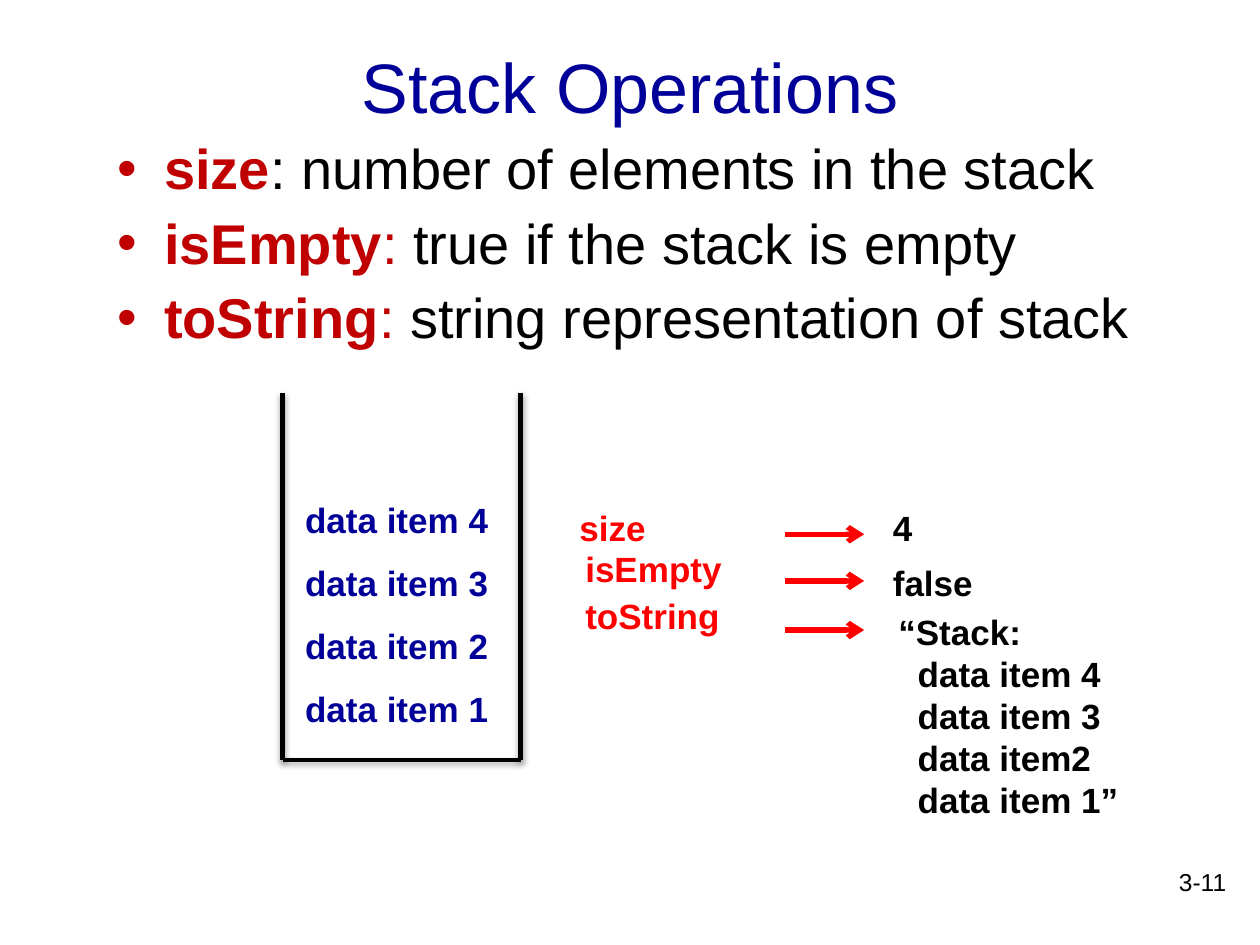
from lxml import etree
from pptx import Presentation
from pptx.dml.color import RGBColor
from pptx.enum.shapes import MSO_CONNECTOR
from pptx.enum.text import MSO_ANCHOR, PP_ALIGN
from pptx.oxml import parse_xml
from pptx.oxml.ns import nsdecls, qn
from pptx.util import Cm, Pt

STRAIGHT = MSO_CONNECTOR.STRAIGHT
TOP, MIDDLE = MSO_ANCHOR.TOP, MSO_ANCHOR.MIDDLE
LEFT, CENTER, RIGHT = PP_ALIGN.LEFT, PP_ALIGN.CENTER, PP_ALIGN.RIGHT

NAVY = RGBColor(0x00, 0x00, 0x99)
CRIMSON = RGBColor(0xC0, 0x00, 0x00)
RED = RGBColor(0xFF, 0x00, 0x00)
BLACK = RGBColor(0x00, 0x00, 0x00)


def add_text(paragraphs, left, top, width, height, size=20, color=BLACK, bold=True,
             align=LEFT, anchor=TOP, wrap=False, before=0, after=0, spacing=1.0):
    """Add a text box; a paragraph is a string or a list of (text, color, bold) spans."""
    box = page.shapes.add_textbox(Cm(left), Cm(top), Cm(width), Cm(height))
    frame = box.text_frame
    frame.word_wrap = wrap
    frame.vertical_anchor = anchor
    for index, content in enumerate(paragraphs):
        para = frame.paragraphs[0] if index == 0 else frame.add_paragraph()
        para.alignment = align
        para.line_spacing = spacing
        para.space_before = Pt(before if index else 0)
        para.space_after = Pt(after)
        spans = [(content, color, bold)] if isinstance(content, str) else content
        for text, span_color, span_bold in spans:
            span = para.add_run()
            span.text = text
            span.font.name = "Arial"
            span.font.size = Pt(size)
            span.font.bold = span_bold
            span.font.color.rgb = span_color
    return frame


def add_line(x1, y1, x2, y2, color, weight, arrow=False, shadow=""):
    line = page.shapes.add_connector(STRAIGHT, Cm(x1), Cm(y1), Cm(x2), Cm(y2))
    line.line.color.rgb = color
    line.line.width = Pt(weight)
    if arrow:
        etree.SubElement(line.line._get_or_add_ln(), qn("a:tailEnd"), type="arrow")
    line._element.spPr.append(
        parse_xml(f"<a:effectLst {nsdecls('a')}>{shadow}</a:effectLst>"))


deck = Presentation()
deck.slide_width, deck.slide_height = Cm(25.4), Cm(19.05)
page = deck.slides.add_slide(deck.slide_layouts[6])

add_text(["Stack Operations"], 1.9, 0.13, 21.6, 3.18, size=40, color=NAVY, bold=False,
         align=CENTER, anchor=MIDDLE, wrap=True)

operations = [
    [("size", CRIMSON, True), (": number of elements in the stack", BLACK, False)],
    [("isEmpty", CRIMSON, True), (": ", CRIMSON, False),
     ("true if the stack is empty", BLACK, False)],
    [("toString", CRIMSON, True), (": ", CRIMSON, False),
     ("string representation of stack", BLACK, False)],
]
body = add_text(operations, 2.11, 2.72, 21.6, 15.6, size=32, wrap=True,
                before=8, spacing=0.9)
for para in body.paragraphs:
    properties = para._p.get_or_add_pPr()
    properties.set("marL", str(Cm(0.95)))
    properties.set("indent", str(-Cm(0.95)))
    etree.SubElement(properties, qn("a:buFont"), typeface="Arial")
    etree.SubElement(properties, qn("a:buChar"), char="•")

# Open-topped stack
SOFT_SHADOW = ('<a:outerShdw blurRad="40000" dist="22000" dir="5400000" rotWithShape="0">'
               '<a:srgbClr val="000000"><a:alpha val="35000"/></a:srgbClr></a:outerShdw>')
stack_left, stack_right, stack_top, stack_bottom = 5.7, 10.5, 7.92, 15.32
for side in (stack_left, stack_right):
    add_line(side, stack_top, side, stack_bottom, BLACK, 3, shadow=SOFT_SHADOW)
add_line(stack_left, stack_bottom, stack_right, stack_bottom, BLACK, 2, shadow=SOFT_SHADOW)
add_text([f"data item {number}" for number in (4, 3, 2, 1)],
         5.9, 9.93, 4.22, 4.95, color=NAVY, after=12)

# Calls, each with an arrow to its result
calls = [
    ("size", 11.43, 10.08, 1.85, 10.77),
    ("isEmpty", 11.55, 10.92, 3.28, 11.71),
    ("toString", 11.55, 11.86, 3.25, 12.7),
]
for name, left, top, width, arrow_y in calls:
    add_text([name], left, top, width, 1.12, color=RED)
    add_line(15.82, arrow_y, 17.42, arrow_y, RED, 3, arrow=True)

add_text(["4"], 17.75, 10.08, 0.91, 1.12)
add_text(["false"], 17.75, 11.2, 2.13, 1.12)
listing = add_text(["“Stack:", "data item 4", "data item 3", "data item2", "data item 1”"],
                   17.86, 12.19, 4.98, 4.52)
for para in listing.paragraphs[1:]:
    para._p.get_or_add_pPr().set("marL", str(Cm(0.39)))

add_text(["3-11"], 19.69, 17.35, 5.28, 1.27, size=14, bold=False, align=RIGHT, wrap=True)

deck.save("out.pptx")
